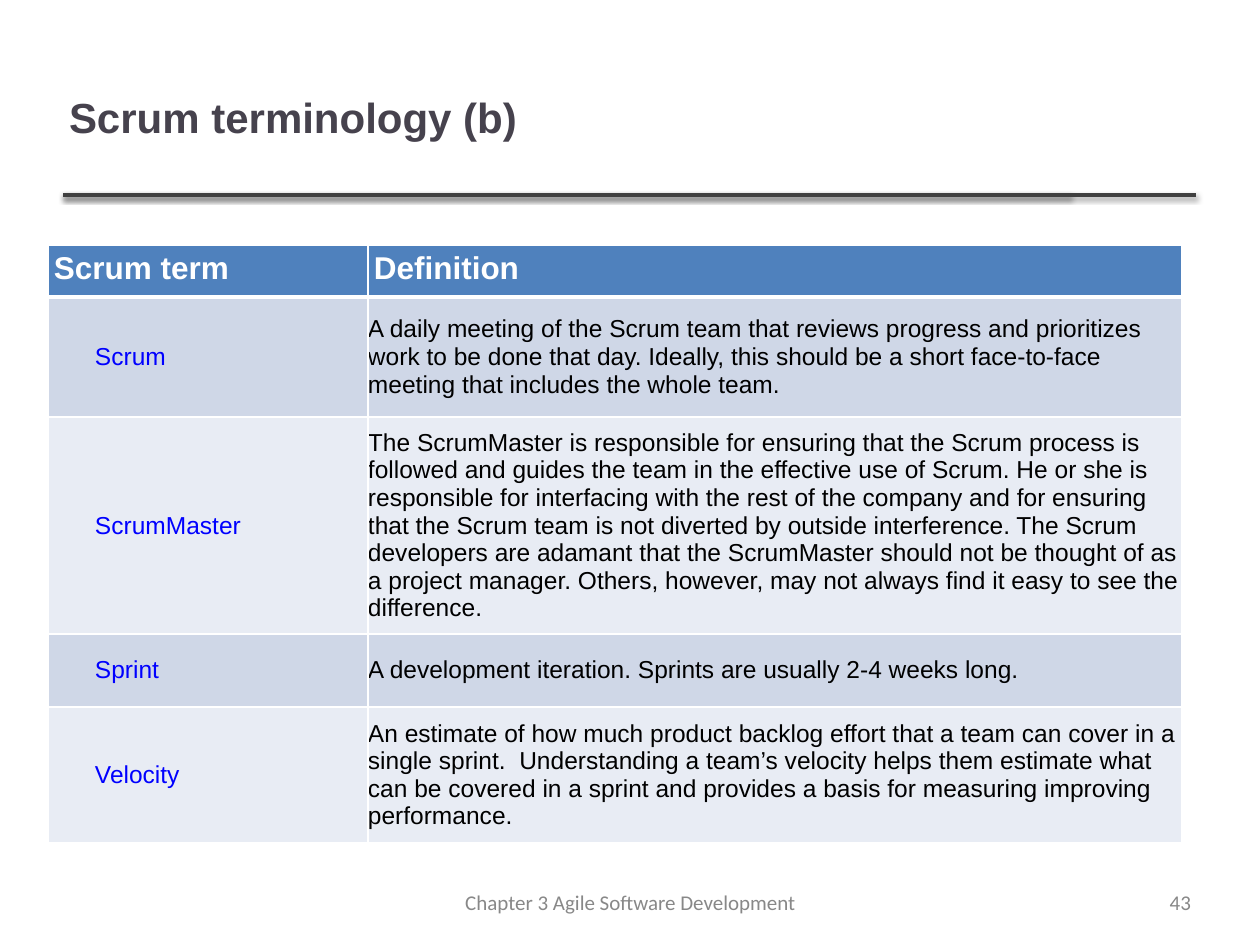
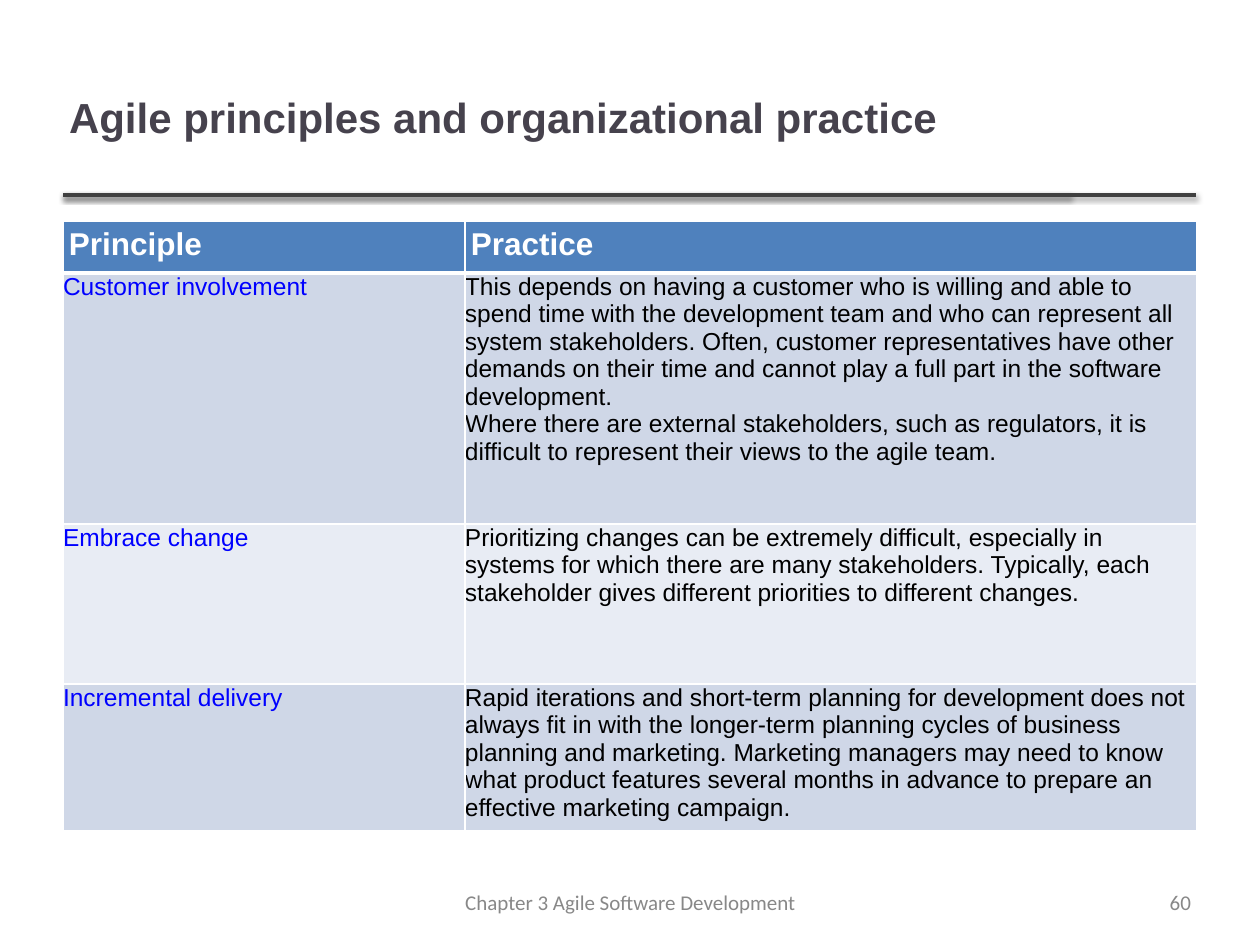
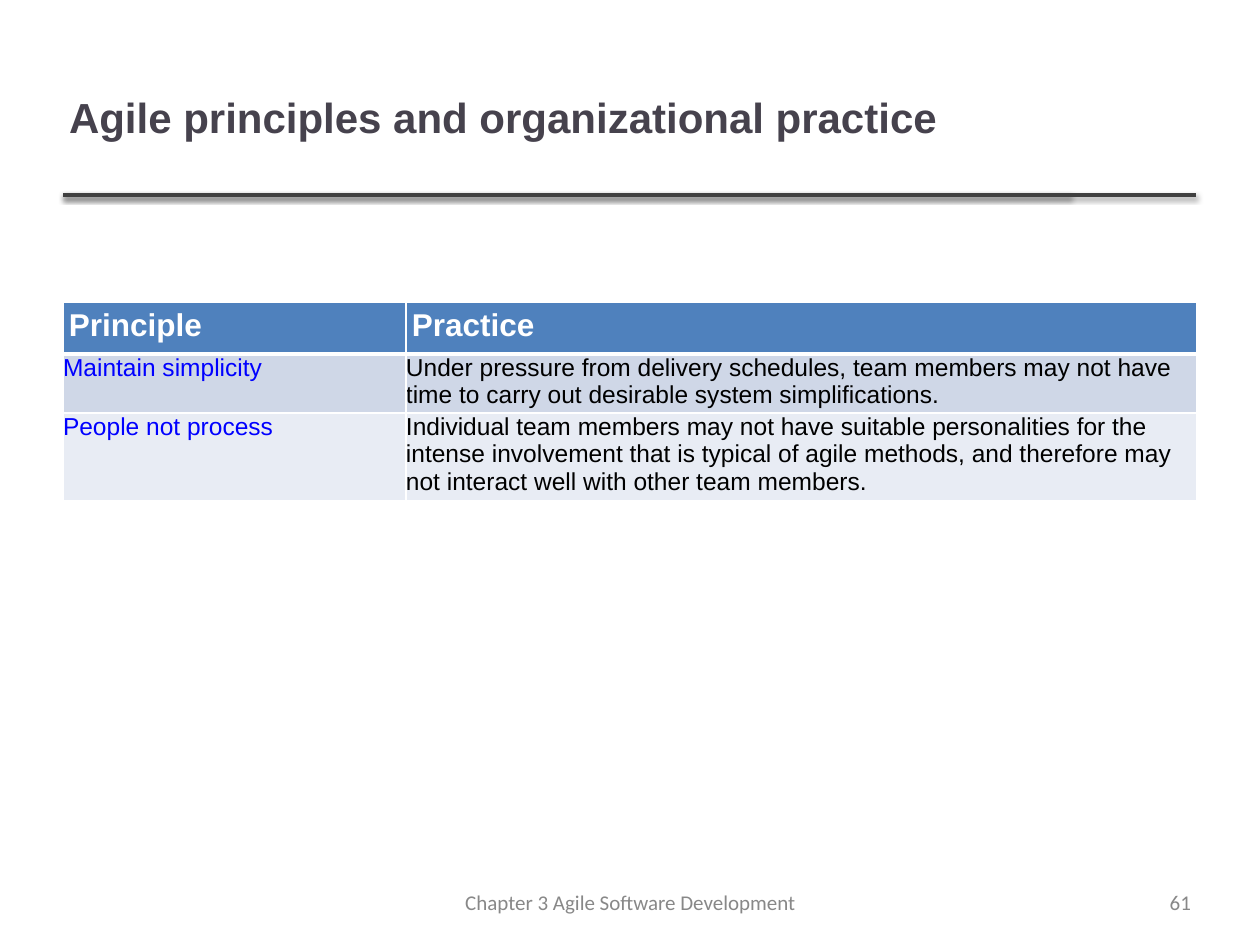
from lxml import etree
from pptx import Presentation
from pptx.dml.color import RGBColor
from pptx.enum.shapes import MSO_CONNECTOR
from pptx.enum.text import MSO_ANCHOR as Anchor, MSO_AUTO_SIZE as AutoSize, PP_ALIGN as Align
from pptx.oxml import parse_xml
from pptx.oxml.ns import nsdecls, qn
from pptx.util import Emu, Pt

COLORS = {
    "title": "46424D",
    "rule": "404040",
    "footer": "888888",
    "header": "4F81BD",
    "white": "FFFFFF",
    "term": "0000FF",
    "text": "000000",
    "band_dark": "CFD7E7",
    "band_light": "E8ECF4",
}
FOOTER = "Chapter 3 Agile Software Development"
PADDING = 6


def px(length):
    return Emu(round(length * 914400 / 126))


def color(name):
    return RGBColor.from_string(COLORS[name])


class Deck:
    def __init__(self):
        self.prs = Presentation()
        self.prs.slide_width, self.prs.slide_height = px(1260), px(945)
        self.slide = None

    def new_slide(self, heading, number):
        self.slide = self.prs.slides.add_slide(self.prs.slide_layouts[5])
        for end in (1070, 1196):
            self.rule(63, end, 195)
        self.footer(FOOTER, (437, 885, 387, 34), Align.CENTER, True)
        self.title(heading)
        self.footer(number, (1162, 885, 35, 34), Align.RIGHT, False)

    def style(self, paragraph, size, tint, font="Arial", bold=False):
        for run in paragraph.runs:
            run.font.name = font
            run.font.size = Pt(size)
            run.font.bold = bold
            run.font.color.rgb = color(tint)

    def pad(self, target, size):
        target.margin_left = target.margin_right = px(size)
        target.margin_top = target.margin_bottom = px(size)

    def rule(self, start, end, y):
        line = self.slide.shapes.add_connector(
            MSO_CONNECTOR.STRAIGHT, px(start), px(y), px(end), px(y))
        line.line.color.rgb = color("rule")
        line.line.width = Pt(2)
        line._element.spPr.append(parse_xml(
            f'<a:effectLst {nsdecls("a")}>'
            f'<a:outerShdw blurRad="{Pt(3)}" dist="{Pt(1.6)}" dir="5400000" rotWithShape="0">'
            '<a:srgbClr val="000000"><a:alpha val="38000"/></a:srgbClr>'
            '</a:outerShdw></a:effectLst>'))

    def title(self, heading):
        title = self.slide.shapes.title
        title.left, title.top, title.width, title.height = map(px, (63, 38, 1006, 157))
        frame = title.text_frame
        frame.text = heading
        frame.vertical_anchor = Anchor.MIDDLE
        frame.auto_size = AutoSize.NONE
        self.pad(frame, PADDING)
        frame.paragraphs[0].alignment = Align.LEFT
        self.style(frame.paragraphs[0], 24, "title", bold=True)

    def footer(self, text, box, alignment, wrap):
        frame = self.slide.shapes.add_textbox(*map(px, box)).text_frame
        frame.text = text
        frame.word_wrap = wrap
        frame.auto_size = AutoSize.SHAPE_TO_FIT_TEXT
        frame.vertical_anchor = Anchor.MIDDLE
        self.pad(frame, PADDING)
        frame.paragraphs[0].alignment = alignment
        self.style(frame.paragraphs[0], 12, "footer", "Calibri")

    def borders(self, cell, bottom):
        properties = cell._tc.get_or_add_tcPr()
        for side, width in (("lnL", 1), ("lnR", 1), ("lnT", 1), ("lnB", bottom)):
            edge = etree.SubElement(properties, qn(f"a:{side}"), w=str(Pt(width)))
            fill = etree.SubElement(edge, qn("a:solidFill"))
            etree.SubElement(fill, qn("a:srgbClr"), val=COLORS["white"])

    def cell(self, cell, text, fill, size, tint, header, anchor):
        cell.text = text
        self.pad(cell, PADDING if header else 0)
        cell.vertical_anchor = anchor
        self.borders(cell, 3 if header else 1)
        cell.fill.solid()
        cell.fill.fore_color.rgb = color(fill)
        for paragraph in cell.text_frame.paragraphs:
            self.style(paragraph, size, tint, bold=header)

    def table(self, left, top, widths, heights, entries, anchor=Anchor.TOP, indent=0):
        table = self.slide.shapes.add_table(
            len(heights), len(widths), px(left), px(top),
            px(sum(widths)), px(sum(heights))).table
        for column, width in zip(table.columns, widths):
            column.width = px(width)
        for row, height in zip(table.rows, heights):
            row.height = px(height)
        for r, entry in enumerate(entries):
            for c, text in enumerate(entry):
                cell = table.cell(r, c)
                if r == 0:
                    self.cell(cell, text, "header", 18, "white", True, Anchor.TOP)
                    continue
                band = "band_dark" if r % 2 else "band_light"
                self.cell(cell, text, band, 14, "text" if c else "term", False, anchor)
                if c == 0 and indent:
                    cell.text_frame.paragraphs[0]._p.get_or_add_pPr().set("indent", str(px(indent)))


SCRUM_TERMS = [
    ("Scrum term", "Definition"),
    ("Scrum",
     "A daily meeting of the Scrum team that reviews progress and prioritizes work to be done "
     "that day. Ideally, this should be a short face-to-face meeting that includes the whole team."),
    ("ScrumMaster",
     "The ScrumMaster is responsible for ensuring that the Scrum process is followed and guides "
     "the team in the effective use of Scrum. He or she is responsible for interfacing with the "
     "rest of the company and for ensuring that the Scrum team is not diverted by outside "
     "interference. The Scrum developers are adamant that the ScrumMaster should not be thought "
     "of as a project manager. Others, however, may not always find it easy to see the difference."),
    ("Sprint", "A development iteration. Sprints are usually 2-4 weeks long."),
    ("Velocity",
     "An estimate of how much product backlog effort that a team can cover in a single sprint.  "
     "Understanding a team’s velocity helps them estimate what can be covered in a sprint and "
     "provides a basis for measuring improving performance."),
]
PRACTICE_HEADER = ("Principle", "Practice")
CUSTOMER_AND_CHANGE = [
    PRACTICE_HEADER,
    ("Customer involvement",
     "This depends on having a customer who is willing and able to spend time with the "
     "development team and who can represent all system stakeholders. Often, customer "
     "representatives have other demands on their time and cannot play a full part in the "
     "software development.\n"
     "Where there are external stakeholders, such as regulators, it is difficult to represent "
     "their views to the agile team."),
    ("Embrace change",
     "Prioritizing changes can be extremely difficult, especially in systems for which there are "
     "many stakeholders. Typically, each stakeholder gives different priorities to different changes."),
    ("Incremental delivery",
     "Rapid iterations and short-term planning for development does not always fit in with the "
     "longer-term planning cycles of business planning and marketing. Marketing managers may need "
     "to know what product features several months in advance to prepare an effective marketing "
     "campaign."),
]
SIMPLICITY_AND_PEOPLE = [
    PRACTICE_HEADER,
    ("Maintain simplicity",
     "Under pressure from delivery schedules, team members may not have time to carry out "
     "desirable system simplifications."),
    ("People not process",
     "Individual team members may not have suitable personalities for the intense involvement "
     "that is typical of agile methods, and therefore may not interact well with other team members."),
]
PRACTICE_TITLE = "Agile principles and organizational practice"


def main():
    deck = Deck()
    deck.new_slide("Scrum terminology (b)", "43")
    deck.table(48, 245, (320, 814), (52, 120, 217, 73, 136), SCRUM_TERMS, Anchor.MIDDLE, 47)
    deck.new_slide(PRACTICE_TITLE, "60")
    deck.table(63, 221, (402, 732), (52, 251, 160, 52), CUSTOMER_AND_CHANGE)
    deck.new_slide(PRACTICE_TITLE, "61")
    deck.table(63, 302, (343, 791), (52, 52, 52), SIMPLICITY_AND_PEOPLE)
    deck.prs.save("out.pptx")


if __name__ == "__main__":
    main()
